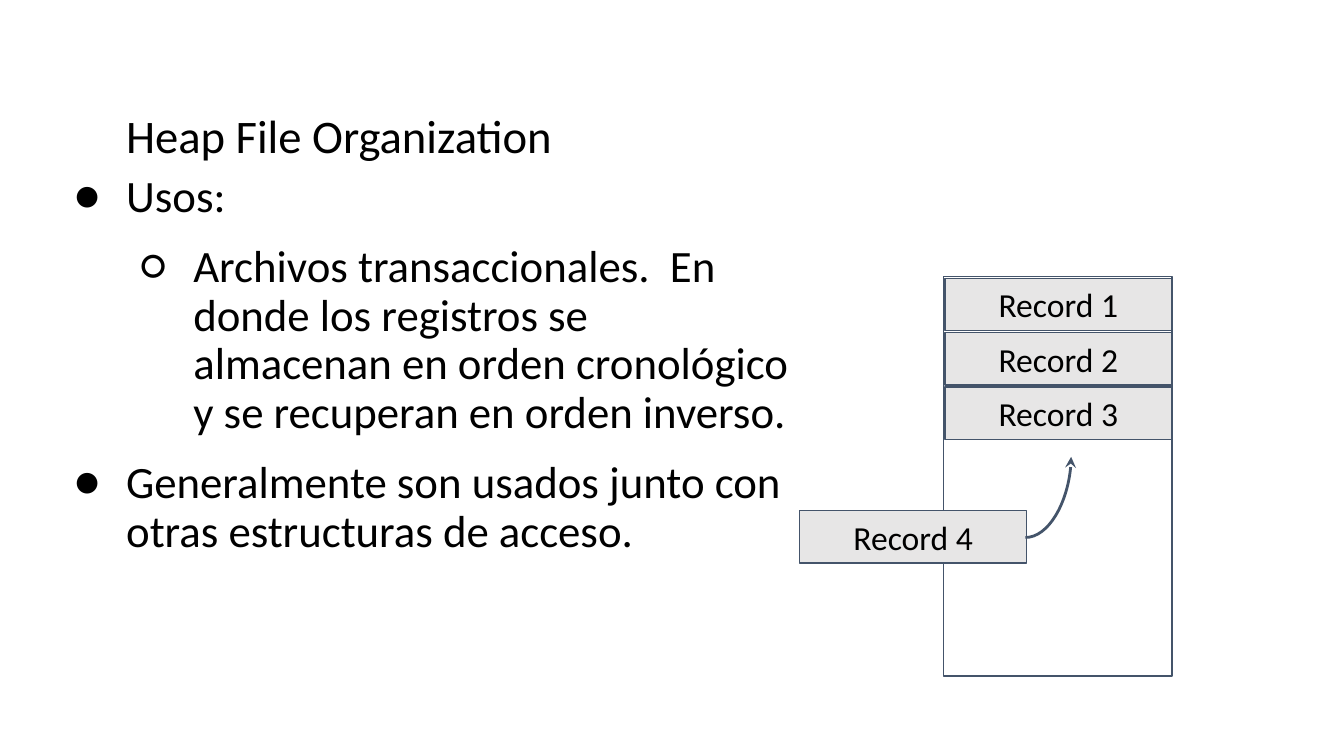
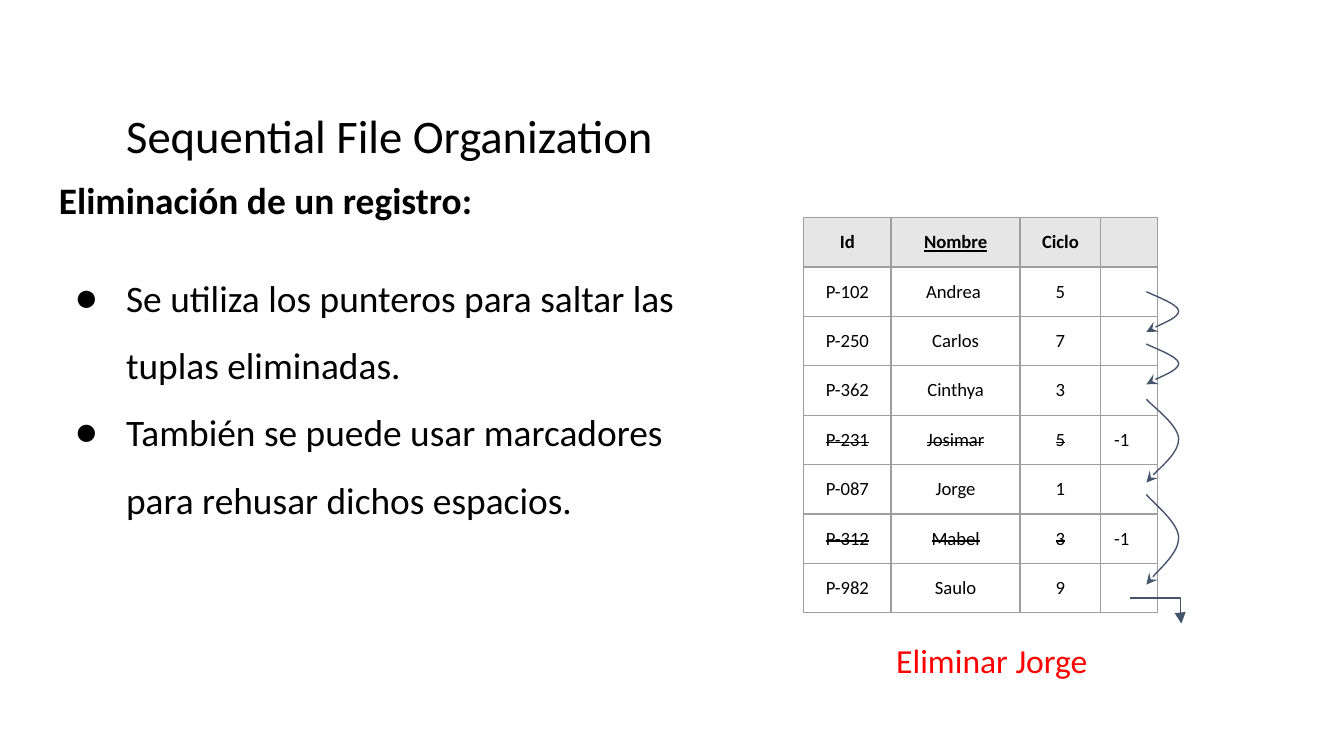
from lxml import etree
from pptx import Presentation
from pptx.dml.color import RGBColor
from pptx.enum.shapes import MSO_CONNECTOR as Connector, MSO_SHAPE as Shape
from pptx.enum.text import MSO_ANCHOR as Anchor, PP_ALIGN as Align
from pptx.oxml.ns import qn
from pptx.util import Inches, Pt

SLIDE_WIDTH = 10
SLIDE_HEIGHT = SLIDE_WIDTH * 9 / 16
FONT = "Calibri"
BLACK = RGBColor(0x00, 0x00, 0x00)
RED = RGBColor(0xFF, 0x00, 0x00)
SLATE = RGBColor(0x44, 0x54, 0x6A)
LIGHT_GRAY = RGBColor(0xE7, 0xE6, 0xE6)
BORDER_GRAY = RGBColor(0x9E, 0x9E, 0x9E)

RECORD_WIDTH, RECORD_HEIGHT = 1.69, 0.39
FIRST_RECORD_TOP, LAST_RECORD_TOP = 2.07, 2.88
STORED_RECORDS = 3
COLUMN_WIDTHS = (0.65, 0.96, 0.6, 0.42)
ROW_HEIGHT = 0.34
HEADER = ("Id", "Nombre", "Ciclo", "")
STUDENTS = (
    ("P-102", "Andrea ", "5", ""),
    ("P-250", "Carlos", "7", ""),
    ("P-362", "Cinthya", "3", ""),
    ("P-231", "Josimar", "5", "-1"),
    ("P-087", "Jorge", "1", ""),
    ("P-312", "Mabel", "3", "-1"),
    ("P-982", "Saulo", "9", ""),
)
# Top and height of each jump from one live record to the next
POINTERS = ((2.17, 0.3), (2.56, 0.3), (2.97, 0.62), (3.68, 0.67))
# Bezier points of a jump, as fractions of its width and height
POINTER_CURVE = ((0, 0), (0.17, 0.08), (1, 0.31), (1, 0.48),
                 (1, 0.64), (0.17, 0.91), (0, 1))


def add_run(paragraph, text, size, color=BLACK, bold=False, underline=False):
    run = paragraph.add_run()
    run.text = text
    font = run.font
    font.name, font.size, font.bold = FONT, Pt(size), bold
    font.underline = underline
    font.color.rgb = color
    return run


def set_insets(frame, inset=0.1):
    frame.margin_left = frame.margin_right = Inches(inset)
    frame.margin_top = frame.margin_bottom = Inches(inset)


def add_text_frame(slide, left, top, width, height):
    box = slide.shapes.add_textbox(
        Inches(left), Inches(top), Inches(width), Inches(height))
    box.text_frame.word_wrap = True
    return box.text_frame


def set_spacing(paragraph, line, before=0, after=0):
    paragraph.line_spacing = line
    paragraph.space_before, paragraph.space_after = Pt(before), Pt(after)


def set_indent(paragraph, left, hanging=0.0, bullet=None):
    props = paragraph._p.get_or_add_pPr()
    props.set("marL", str(Inches(left)))
    props.set("indent", str(Inches(-hanging)))
    if bullet:
        etree.SubElement(props, qn("a:buFont")).set("typeface", FONT)
        etree.SubElement(props, qn("a:buChar")).set("char", bullet)


def add_title(slide, text):
    frame = add_text_frame(slide, 0.34, 0.49, 9.32, 0.77)
    set_insets(frame)
    title = frame.paragraphs[0]
    set_spacing(title, 1.5)
    set_indent(title, 0.5)
    add_run(title, text, 25)


def add_arrowhead(line_shape, kind):
    line = line_shape.line._get_or_add_ln()
    etree.SubElement(line, qn("a:tailEnd")).set("type", kind)


def add_arrow(slide, kind, start, end, weight, head):
    arrow = slide.shapes.add_connector(
        kind, *(Inches(value) for value in (*start, *end)))
    arrow.line.color.rgb, arrow.line.width = SLATE, Pt(weight)
    add_arrowhead(arrow, head)
    etree.SubElement(arrow._element.spPr, qn("a:effectLst"))
    return arrow


def add_rectangle(slide, left, top, width, height):
    rectangle = slide.shapes.add_shape(
        Shape.RECTANGLE, Inches(left), Inches(top), Inches(width), Inches(height))
    rectangle.shadow.inherit = False
    rectangle.fill.background()
    rectangle.line.color.rgb, rectangle.line.width = SLATE, Pt(0.75)
    return rectangle


def add_record(slide, number, left, top):
    record = add_rectangle(slide, left, top, RECORD_WIDTH, RECORD_HEIGHT)
    record.fill.solid()
    record.fill.fore_color.rgb = LIGHT_GRAY
    frame = record.text_frame
    set_insets(frame)
    frame.vertical_anchor = Anchor.MIDDLE
    label = frame.paragraphs[0]
    label.alignment = Align.CENTER
    add_run(label, f"Record {number}", 18)


def add_pointer(slide, top, height, left=8.53, width=0.24):
    """Draw a curved jump whose outline is two cubic Bezier segments."""
    points = [(Inches(left + x * width), Inches(top + y * height))
              for x, y in POINTER_CURVE]
    builder = slide.shapes.build_freeform(*points[0])
    builder.add_line_segments(points[1:], close=False)
    pointer = builder.convert_to_shape()
    outline = next(pointer._element.iter(qn("a:path")))
    segments = outline.findall(qn("a:lnTo"))
    for first in range(0, len(segments), 3):
        curve = etree.SubElement(outline, qn("a:cubicBezTo"))
        for segment in segments[first:first + 3]:
            curve.append(segment[0])
            outline.remove(segment)
    pointer.shadow.inherit = False
    pointer.fill.background()
    pointer.line.color.rgb, pointer.line.width = SLATE, Pt(0.75)
    add_arrowhead(pointer, "stealth")


def add_cell_borders(cell):
    props = cell._tc.get_or_add_tcPr()
    for side in ("lnL", "lnR", "lnT", "lnB"):
        border = etree.SubElement(props, qn(f"a:{side}"))
        border.set("w", str(Pt(0.75)))
        fill = etree.SubElement(border, qn("a:solidFill"))
        etree.SubElement(fill, qn("a:srgbClr")).set("val", str(BORDER_GRAY))


def fill_cell(cell, text, is_header, is_marker, deleted):
    set_insets(cell)
    add_cell_borders(cell)
    if is_header:
        cell.fill.solid()
        cell.fill.fore_color.rgb = LIGHT_GRAY
    else:
        cell.fill.background()
    paragraph = cell.text_frame.paragraphs[0]
    if not text:
        etree.SubElement(paragraph._p, qn("a:endParaRPr")).set("sz", "1000")
        return
    paragraph.alignment = Align.LEFT if is_marker else Align.CENTER
    run = add_run(paragraph, text, 10, bold=is_header, underline=text == "Nombre")
    if deleted and not is_marker:
        run.font._element.set("strike", "sngStrike")


def add_student_table(slide):
    rows = (HEADER, *STUDENTS)
    table = slide.shapes.add_table(
        len(rows), len(HEADER), Inches(5.98), Inches(1.62),
        Inches(sum(COLUMN_WIDTHS)), Inches(ROW_HEIGHT * len(rows))).table
    table.first_row = table.horz_banding = False
    for column, width in zip(table.columns, COLUMN_WIDTHS):
        column.width = Inches(width)
    for r, values in enumerate(rows):
        table.rows[r].height = Inches(ROW_HEIGHT)
        for c, text in enumerate(values):
            fill_cell(table.cell(r, c), text, is_header=r == 0,
                      is_marker=c == len(HEADER) - 1, deleted=values[-1] == "-1")


def build_heap_slide(slide):
    add_title(slide, "Heap File Organization")
    uses = add_text_frame(slide, 0.34, 1.19, 5.68, 4.11)
    set_insets(uses)
    items = (
        (0, "Usos:"),
        (1, "Archivos transaccionales.  En donde los registros se almacenan "
            "en orden cronológico y se recuperan en orden inverso."),
        (0, "Generalmente son usados junto con otras estructuras de acceso."),
    )
    for i, (level, text) in enumerate(items):
        item = uses.add_paragraph() if i else uses.paragraphs[0]
        item.level = level
        set_spacing(item, 0.9, 6, 6)
        set_indent(item, 0.5 * (level + 1), 0.39, "●○"[level])
        add_run(item, text, 24)

    add_rectangle(slide, 7.02, 2.06, 1.7, 2.97)
    pitch = (LAST_RECORD_TOP - FIRST_RECORD_TOP) / (STORED_RECORDS - 1)
    for i in range(STORED_RECORDS):
        add_record(slide, i + 1, 7.03, FIRST_RECORD_TOP + pitch * i)
    add_record(slide, STORED_RECORDS + 1, 5.95, 3.8)
    insertion = add_arrow(
        slide, Connector.CURVE, (7.63, 4), (7.97, 3.4), 1.5, "stealth")
    insertion._element.spPr.find(qn("a:prstGeom")).set("prst", "curvedConnector2")


def build_sequential_slide(slide):
    add_title(slide, "Sequential File Organization")
    deletion = add_text_frame(slide, 0.34, 1.26, 4.96, 3.74)
    set_insets(deletion)
    heading = deletion.paragraphs[0]
    set_spacing(heading, 0.9)
    add_run(heading, "Eliminación de un registro:", 20, bold=True)
    for before, text in (
        (16, "Se utiliza los punteros para saltar las tuplas eliminadas."),
        (0, "También se puede usar marcadores para rehusar dichos espacios."),
    ):
        item = deletion.add_paragraph()
        set_spacing(item, 1.5, before)
        set_indent(item, 0.5, 0.38, "●")
        add_run(item, text, 20)

    add_student_table(slide)
    for top, height in POINTERS:
        add_pointer(slide, top, height)
    end_of_file = add_arrow(
        slide, Connector.ELBOW, (8.41, 4.45), (8.79, 4.64), 0.75, "triangle")
    adjustments = next(end_of_file._element.iter(qn("a:avLst")))
    bend = etree.SubElement(adjustments, qn("a:gd"))
    bend.set("name", "adj1")
    bend.set("fmla", "val 98000")

    caption = add_text_frame(slide, 6.57, 4.71, 1.69, 0.71)
    add_run(caption.paragraphs[0], "Eliminar Jorge", 18, RED)


def main():
    deck = Presentation()
    deck.slide_width, deck.slide_height = Inches(SLIDE_WIDTH), Inches(SLIDE_HEIGHT)
    blank = deck.slide_layouts[6]
    for build in (build_heap_slide, build_sequential_slide):
        build(deck.slides.add_slide(blank))
    deck.save("out.pptx")


if __name__ == "__main__":
    main()
